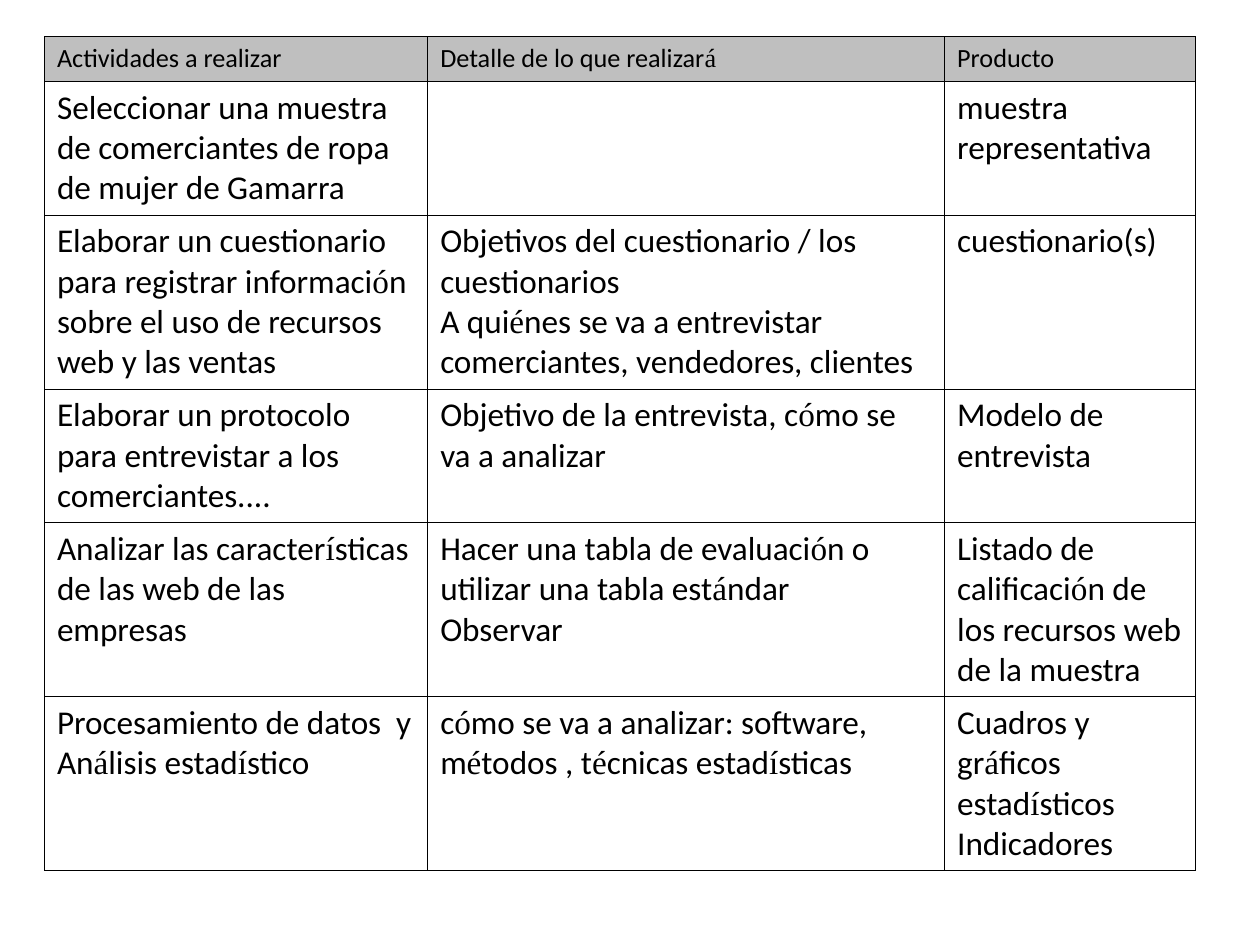
import itertools

import pptx
import pptx.dml.color
import pptx.util
from pptx.oxml import parse_xml
from pptx.oxml.ns import nsdecls

Pt = pptx.util.Pt

COLOURS = {"text": "000000", "border": "000000", "header": "BFBFBF"}
BODY_FONT, ACCENT_FONT = "Calibri", "Times New Roman"
ACCENTED = "áéíóú"
HEADER_SIZE, BODY_SIZE = 15, 19
BORDER_WIDTH = 0.45

TABLE_BOX = (25.4, 20.9, 657.6, 471.6)
COLUMN_WIDTHS = (219, 295.4, 143.2)
ROW_HEIGHTS = (25.2, 75.6, 98.4, 75.6, 98.4, 98.4)

ROWS = [
    ("Actividades a realizar", "Detalle de lo que realizará", "Producto"),
    ("Seleccionar una muestra de comerciantes de ropa de mujer de Gamarra",
     "",
     "muestra representativa"),
    ("Elaborar un cuestionario para registrar información sobre el uso de recursos web y las ventas",
     "Objetivos del cuestionario / los cuestionarios\n"
     "A quiénes se va a entrevistar\n"
     "comerciantes, vendedores, clientes",
     "cuestionario(s)"),
    ("Elaborar un protocolo para entrevistar a los comerciantes....",
     "Objetivo de la entrevista, cómo se va a analizar",
     "Modelo de entrevista"),
    ("Analizar las características de las web de las empresas",
     "Hacer una tabla de evaluación o utilizar una tabla estándar\nObservar",
     "Listado de calificación de los recursos web de la muestra"),
    ("Procesamiento de datos  y Análisis estadístico",
     "cómo se va a analizar: software, métodos , técnicas estadísticas",
     "Cuadros y gráficos estadísticos\nIndicadores"),
]


def write_text(frame, text, *, size, colour):
    """Write one paragraph a line, with accented letters in their own font."""
    for index, line in enumerate(text.split("\n")):
        para = frame.paragraphs[0] if index == 0 else frame.add_paragraph()
        para.font.size = Pt(size)
        for accented, letters in itertools.groupby(line, lambda letter: letter in ACCENTED):
            span = para.add_run()
            span.text = "".join(letters)
            span.font.name = ACCENT_FONT if accented else BODY_FONT
            span.font.size = Pt(size)
            span.font.color.rgb = pptx.dml.color.RGBColor.from_string(colour)


def add_borders(cell):
    properties = cell._tc.get_or_add_tcPr()
    for index, side in enumerate(("lnL", "lnR", "lnT", "lnB")):
        properties.insert(index, parse_xml(
            f'<a:{side} {nsdecls("a")} w="{Pt(BORDER_WIDTH)}"><a:solidFill>'
            f'<a:srgbClr val="{COLOURS["border"]}"/></a:solidFill></a:{side}>'))


def format_cell(cell, text, is_header):
    cell.margin_left = cell.margin_right = Pt(7.2)
    cell.margin_top = cell.margin_bottom = Pt(3.6)
    if is_header:
        cell.fill.solid()
        cell.fill.fore_color.rgb = pptx.dml.color.RGBColor.from_string(COLOURS["header"])
    else:
        cell.fill.background()
    add_borders(cell)
    write_text(cell.text_frame, text, colour=COLOURS["text"],
               size=HEADER_SIZE if is_header else BODY_SIZE)


def add_activity_table(page, box):
    """Fill the box with the table, sharing it out by column and row proportions."""
    left, top, width, height = box
    table = page.shapes.add_table(len(ROWS), len(COLUMN_WIDTHS),
                                  Pt(left), Pt(top), Pt(width), Pt(height)).table
    table.horz_banding = False
    for column, share in zip(table.columns, COLUMN_WIDTHS):
        column.width = Pt(width * share / sum(COLUMN_WIDTHS))
    for row, share in zip(table.rows, ROW_HEIGHTS):
        row.height = Pt(height * share / sum(ROW_HEIGHTS))
    table.first_row = False
    for row_index, texts in enumerate(ROWS):
        for column_index, text in enumerate(texts):
            format_cell(table.cell(row_index, column_index), text, row_index == 0)


def main():
    deck = pptx.Presentation()
    deck.slide_width, deck.slide_height = Pt(720), Pt(540)
    page = deck.slides.add_slide(deck.slide_layouts[6])
    add_activity_table(page, TABLE_BOX)
    deck.save("out.pptx")


if __name__ == "__main__":
    main()
